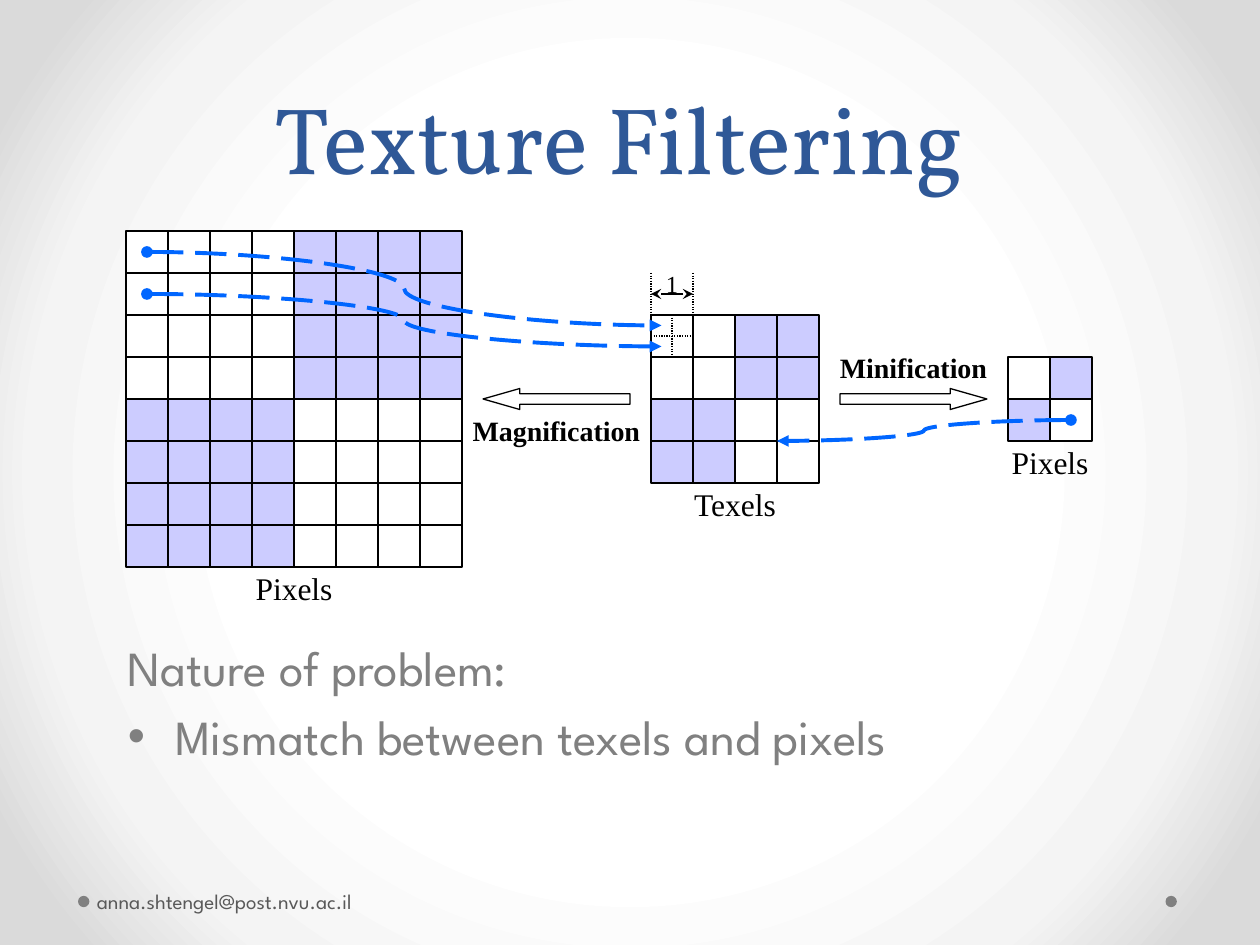
from pptx import Presentation
from pptx import util as u
from pptx.dml.color import RGBColor
from pptx.enum import dml, shapes, text
from pptx.oxml import parse_xml
from pptx.oxml.ns import nsdecls, qn

CELL = 24
COLORS = {"white": "FFFFFF", "lilac": "CCCCFF", "black": "000000", "blue": "0066FF",
          "title": "2F5897", "gray": "808080", "footer": "595959"}
STOPS = [(50, "FFFFFF"), (76, "F4F4F4"), (92, "DADADA")]
SERIF, SANS, HEADING = "Times New Roman", "League Spartan", "Vollkorn"

GRIDS = {"pixels": (3, 5.5, 8), "texels": (15.5, 7.5, 4), "small pixels": (24, 8.5, 2)}
LABELS = [
    ("1", (15.5, 6.25, 1, 1), 14, False),
    ("Pixels", (3, 13.5, 8, 1), 18, False),
    ("Texels", (15.5, 11.5, 4, 1), 18, False),
    ("Pixels", (24, 10.5, 2, 1), 18, False),
    ("Magnification", (11, 9.75, 4.5, 1), 16, True),
    ("Minification", (19.5, 8.25, 4.5, 1), 16, True),
]
BLOCK_ARROWS = [("RIGHT_ARROW", (20, 9.25, 3.5, 0.5)), ("LEFT_ARROW", (11.5, 9.25, 3.5, 0.5))]
MAPPINGS = [(3.5, 6, 15.75, 7.75), (3.5, 7, 15.75, 8.25), (25.5, 10, 18.5, 10.5)]
EXTENSIONS = [(16.5, 6.5, 16.5, 7.5), (15.5, 6.5, 15.5, 7.5)]
DIMENSION = (16.5, 7, 15.5, 7)
CROSSHAIR_SIDES = [(1, 3), (0, 2)]
DOTS = [(666, 511.9), (44.6, 511.9)]
BODY = [("Nature of problem:", False), ("Mismatch between texels and pixels", True)]
FOOTER = "anna.shtengel@post.nvu.ac.il"


def rgb(name):
    """Look up a named colour."""
    return RGBColor.from_string(COLORS[name])


def points(values):
    """Turn numbers into lengths in points."""
    return [u.Pt(v) for v in values]


def scaled(values):
    """Turn cell counts into lengths."""
    return points(v * CELL for v in values)


def assign(obj, formats):
    """Set attributes from a dict of format values."""
    for name, value in formats.items():
        setattr(obj, name, value)


def paint_background(s):
    """Fill the background with a circular gradient."""
    s.background.fill.solid()
    bg = s.element.xpath(".//p:bgPr")[0]
    stops = "".join(f'<a:gs pos="{pos * 1000}"><a:srgbClr val="{c}"/></a:gs>' for pos, c in STOPS)
    grad = parse_xml(f'<a:gradFill {nsdecls("a")} rotWithShape="1"><a:gsLst>{stops}</a:gsLst>'
                     '<a:path path="circle"><a:fillToRect l="50000" t="50000" r="50000" b="50000"/>'
                     '</a:path></a:gradFill>')
    bg.replace(bg[0], grad)


def add_shape(s, kind, box, fill=None, line="black"):
    """Add a preset shape with an optional fill and outline."""
    sp = s.shapes.add_shape(getattr(shapes.MSO_SHAPE, kind), *box)
    sp.shadow.inherit = False
    if fill:
        sp.fill.solid()
        sp.fill.fore_color.rgb = rgb(fill)
    else:
        sp.fill.background()
    if line:
        sp.line.color.rgb = rgb(line)
        sp.line.width = u.Pt(0.75)
    else:
        sp.line.fill.background()
    return sp


def add_grid(s, left, top, count):
    """Add a square grid shaded in opposite quarters and return its cells."""
    half = count // 2
    return [add_shape(s, "RECTANGLE", scaled((left + col, top + row, 1, 1)),
                      "lilac" if (row < half) != (col < half) else "white")
            for row in range(count) for col in range(count)]


def add_line(s, ends, kind="STRAIGHT", color="black", width=0.75, dash=None, heads=()):
    """Add a connector with an optional dash and arrowheads."""
    cn = s.shapes.add_connector(getattr(shapes.MSO_CONNECTOR, kind), *scaled(ends))
    cn.line.color.rgb = rgb(color)
    cn.line.width = u.Pt(width)
    if dash:
        cn.line.dash_style = getattr(dml.MSO_LINE, dash)
    spPr = cn.element.spPr
    ln = spPr.find(qn("a:ln"))
    for tag, head in zip(("headEnd", "tailEnd"), heads):
        ln.append(parse_xml(f'<a:{tag} {nsdecls("a")} type="{head}"/>'))
    spPr.append(parse_xml(f'<a:effectLst {nsdecls("a")}/>'))
    return cn


def write(p, words, font, size, color, bold=False):
    """Add one formatted run to a paragraph."""
    r = p.add_run()
    r.text = words
    assign(r.font, {"name": font, "size": u.Pt(size), "bold": bold})
    r.font.color.rgb = rgb(color)


def add_text(s, box, wrap=True, anchor="TOP", insets=(7.2, 3.6, 7.2, 3.6)):
    """Add a text box and return its frame."""
    tf = s.shapes.add_textbox(*box).text_frame
    sides = ("margin_left", "margin_top", "margin_right", "margin_bottom")
    assign(tf, {"word_wrap": wrap, "vertical_anchor": getattr(text.MSO_ANCHOR, anchor),
                **dict(zip(sides, points(insets)))})
    return tf


def add_title(s):
    """Place and format the title."""
    sp = s.shapes.title
    assign(sp, dict(zip(("left", "top", "width", "height"), points((48, 24, 612, 90)))))
    tf = sp.text_frame
    assign(tf, {"vertical_anchor": text.MSO_ANCHOR.BOTTOM, "auto_size": text.MSO_AUTO_SIZE.NONE})
    p = tf.paragraphs[0]
    assign(p, {"alignment": text.PP_ALIGN.CENTER, "line_spacing": u.Pt(58)})
    write(p, "Texture Filtering", HEADING, 54, "title")


def add_body(s):
    """Add the heading and its bullet."""
    tf = add_text(s, points((66, 361, 612, 137.5)))
    for i, (words, bullet) in enumerate(BODY):
        p = tf.add_paragraph() if i else tf.paragraphs[0]
        p.space_before = u.Pt(5.6)
        write(p, words, SANS, 28, "gray")
        pPr = p._p.get_or_add_pPr()
        pPr.set("marL", str(u.Pt(27)))
        pPr.set("indent", str(u.Pt(-27)))
        if bullet:
            pPr.append(parse_xml(f'<a:buFont {nsdecls("a")} typeface="Arial"/>'))
            pPr.append(parse_xml(f'<a:buChar {nsdecls("a")} char="•"/>'))


def add_diagram(s):
    """Draw the grids, their labels and the mappings between them."""
    grids = {name: add_grid(s, *place) for name, place in GRIDS.items()}
    for words, box, size, bold in LABELS:
        p = add_text(s, scaled(box), False, "MIDDLE", (0, 0, 0, 0)).paragraphs[0]
        p.alignment = text.PP_ALIGN.CENTER
        write(p, words, SERIF, size, "black", bold)
    for ends in MAPPINGS:
        add_line(s, ends, "CURVE", "blue", 2.25, "LONG_DASH", ("oval", "triangle"))
    for kind, box in BLOCK_ARROWS:
        sp = add_shape(s, kind, scaled(box))
        sp.adjustments[0], sp.adjustments[1] = 0.5, 1.75
    texel = grids["texels"][0]
    for begin, end in CROSSHAIR_SIDES:
        cn = add_line(s, (0, 0, 0, 0), dash="ROUND_DOT")
        cn.begin_connect(texel, begin)
        cn.end_connect(texel, end)
    for ends in EXTENSIONS:
        add_line(s, ends, dash="ROUND_DOT")
    add_line(s, DIMENSION, heads=("stealth", "stealth"))


def main():
    """Build the texture filtering slide."""
    prs = Presentation()
    assign(prs, {"slide_width": u.Pt(720), "slide_height": u.Pt(540)})
    s = prs.slides.add_slide(prs.slide_layouts[5])
    paint_background(s)
    for left, top in DOTS:
        add_shape(s, "OVAL", points((left, top, 6.5, 6.5)), "gray", None)
    add_title(s)
    add_body(s)
    add_diagram(s)
    tf = add_text(s, points((51.8, 500.4, 224, 28.8)), True, "MIDDLE", (3.6, 3.6, 7.2, 3.6))
    write(tf.paragraphs[0], FOOTER, SANS, 12, "footer")
    prs.save("out.pptx")


if __name__ == "__main__":
    main()
